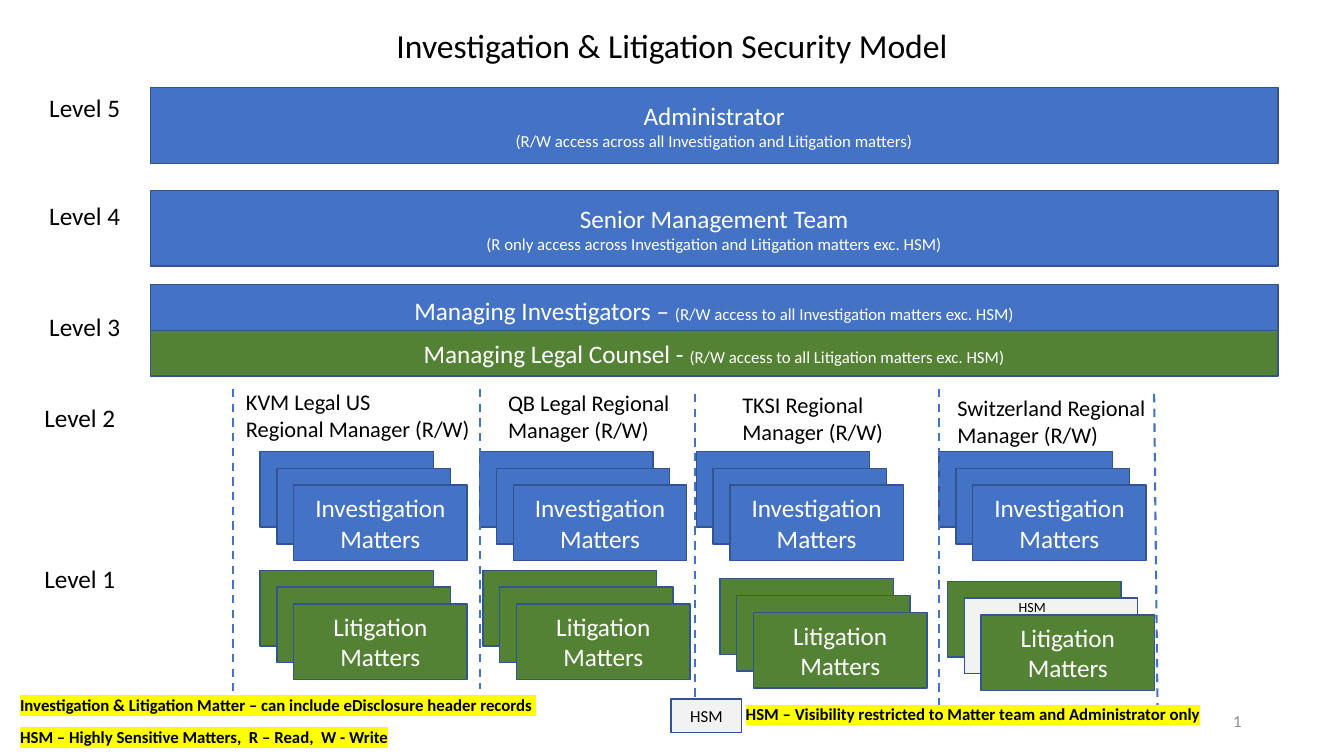
from dataclasses import dataclass
from typing import NamedTuple

from lxml import etree
from pptx import Presentation
from pptx import util as u
from pptx.dml.color import RGBColor
from pptx.enum import dml, shapes, text
from pptx.oxml.ns import qn

COLS, ROWS = 160, 90  # grid cells are 1/12 inch square


@dataclass(frozen=True)
class Theme:
    font: str = "Calibri"
    blue: str = "4472C4"
    green: str = "548235"
    edge: str = "325491"
    pale: str = "F2F2F2"
    white: str = "FFFFFF"
    black: str = "000000"
    gray: str = "8C8C8C"
    mark: str = "FFFF00"
    title: int = 24
    head: int = 18
    label: int = 16
    note: int = 12
    tiny: int = 10


class Box(NamedTuple):
    x: float
    y: float
    w: float
    h: float


class Bar(NamedTuple):
    y: float
    h: float
    fill: str
    lines: list


class Zone(NamedTuple):
    name: str
    area: Box
    inv: float  # left of the investigation stack
    lit: tuple  # left and top of the litigation stack


class Rule(NamedTuple):
    top: float
    end: float
    x: float
    low: float


T = Theme()
CARD_W, CARD_H, STEP = 20.64, 9, 2
INV_Y = 53.76
BAR_X, BAR_W = 17.88, 134.28
MID, LEFT, RIGHT = text.PP_ALIGN.CENTER, text.PP_ALIGN.LEFT, text.PP_ALIGN.RIGHT

prs = Presentation()
prs.slide_width, prs.slide_height = u.Inches(COLS / 12), u.Inches(ROWS / 12)
slide = prs.slides.add_slide(prs.slide_layouts[5])


def cell(n: float) -> int:
    return u.Inches(n / 12)


def place(box: Box) -> list:
    return [cell(n) for n in box]


def write(shape, lines, size=T.head, color=T.black, bold=False, mark=None,
          align=LEFT, anchor=text.MSO_ANCHOR.TOP) -> None:
    """Each line is a string or a list of (string, size) runs."""
    frame = shape.text_frame
    frame.word_wrap, frame.vertical_anchor = True, anchor
    frame.auto_size = text.MSO_AUTO_SIZE.NONE
    for i, line in enumerate([lines] if isinstance(lines, str) else lines):
        para = frame.add_paragraph() if i else frame.paragraphs[0]
        para.alignment = align
        for words, pt in [(line, size)] if isinstance(line, str) else line:
            run = para.add_run()
            run.text = words
            font = run.font
            font.size, font.name, font.bold = u.Pt(pt), T.font, bold
            font.color.rgb = RGBColor.from_string(color)
            if mark:
                glow = etree.Element(qn("a:highlight"))
                etree.SubElement(glow, qn("a:srgbClr"), val=mark)
                run._r.rPr.find(qn("a:solidFill")).addnext(glow)


def label(box: Box, lines, **form) -> None:
    write(slide.shapes.add_textbox(*place(box)), lines, **form)


def block(box: Box, fill: str, lines="", color=T.white, **form) -> None:
    shape = slide.shapes.add_shape(shapes.MSO_SHAPE.RECTANGLE, *place(box))
    shape.shadow.inherit = False
    shape.fill.solid()
    shape.fill.fore_color.rgb = RGBColor.from_string(fill)
    shape.line.color.rgb = RGBColor.from_string(T.edge)
    shape.line.width = u.Pt(1)
    if lines:
        write(shape, lines, color=color, align=MID,
              anchor=text.MSO_ANCHOR.MIDDLE, **form)


def stack(x: float, y: float, fills: list, words: str) -> None:
    for i, fill in enumerate(fills):
        box = Box(x + i * STEP, y + i * STEP, CARD_W, CARD_H)
        block(box, fill, words if i == len(fills) - 1 else "")


def dash(rule: Rule) -> None:
    line = slide.shapes.add_connector(
        shapes.MSO_CONNECTOR.STRAIGHT, cell(rule.x), cell(rule.top),
        cell(rule.end), cell(rule.low))
    line.line.color.rgb = RGBColor.from_string(T.blue)
    line.line.width = u.Pt(1.5)
    line.line.dash_style = dml.MSO_LINE.DASH
    etree.SubElement(line._element.spPr, qn("a:effectLst"))


# Title
title = slide.shapes.title
title.left, title.top, title.width, title.height = place(Box(46, 2.4, 71.8, 6))
write(title, "Investigation & Litigation Security Model", size=T.title)

# Level labels
for level, x, y in [(5, 4.68, 10.4), (4, 4.68, 23.3), (3, 4.68, 36.5),
                    (2, 4.1, 47.3), (1, 4.1, 66.5)]:
    label(Box(x, y, 14.4, 4.8), f"Level {level}")

# Access bars
bars = [
    Bar(10.44, 9, T.blue, [
        "Administrator",
        [("(R/W access across all Investigation and Litigation matters)", T.note)]]),
    Bar(22.68, 9, T.blue, [
        "Senior Management Team",
        [("(R only access across Investigation and Litigation matters exc. HSM)",
          T.note)]]),
    Bar(33.84, 6.12, T.blue, [
        [("Managing Investigators – ", T.head),
         ("(R/W access to all Investigation matters exc. HSM)", T.note)]]),
    Bar(39.36, 5.4, T.green, [
        [("Managing Legal Counsel - ", T.head),
         ("(R/W access to all Litigation matters exc. HSM)", T.note)]]),
]
for bar in bars:
    block(Box(BAR_X, bar.y, BAR_W, bar.h), bar.fill, bar.lines)

# Regions with their stacks of matters
zones = [
    Zone(["KVM Legal US", "Regional Manager (R/W)"], Box(28.1, 45.6, 29.2, 7.7),
         30.96, (30.96, 67.9)),
    Zone("QB Legal Regional Manager (R/W)", Box(59.3, 45.7, 24.5, 7.7),
         57.1, (57.5, 67.9)),
    Zone("TKSI Regional Manager (R/W)", Box(87.2, 46, 21.7, 7.7),
         82.9, (85.7, 68.9)),
    Zone("Switzerland Regional Manager (R/W)", Box(112.8, 46.3, 27.6, 7.7),
         111.8, (112.8, 69.2)),
]
for zone in zones:
    label(zone.area, zone.name, size=T.label)
    stack(zone.inv, INV_Y, [T.blue] * 3, "Investigation Matters")
    mid = T.pale if zone is zones[-1] else T.green
    stack(*zone.lit, [T.green, mid, T.green], "Litigation Matters")
label(Box(120.1, 70.6, 7.7, 3.2), "HSM", size=T.tiny)

# Dashed dividers
for rule in [Rule(46.3, 27.7, 27.7, 82.3), Rule(46.3, 57.1, 57.1, 82),
             Rule(46.9, 82.7, 82.7, 84), Rule(46.3, 111.8, 111.8, 84),
             Rule(46.9, 137.8, 137.4, 84)]:
    dash(rule)

# Legend
block(Box(79.9, 83.2, 8.4, 4), T.pale, "HSM", color=T.black, size=T.note)
for box, words in [
    (Box(1.2, 82.1, 80.5, 3.6),
     "Investigation & Litigation Matter – can include eDisclosure header records "),
    (Box(1.2, 85.9, 80.5, 3.6),
     "HSM – Highly Sensitive Matters,  R – Read,  W - Write"),
    (Box(87.6, 83.2, 57.1, 3.6),
     "HSM – Visibility restricted to Matter team and Administrator only"),
]:
    label(box, words, size=T.note, bold=True, mark=T.mark)

# Slide number
label(Box(113, 83.4, 36, 4.8), "1", size=T.note, color=T.gray, align=RIGHT,
      anchor=text.MSO_ANCHOR.MIDDLE)

prs.save("out.pptx")
